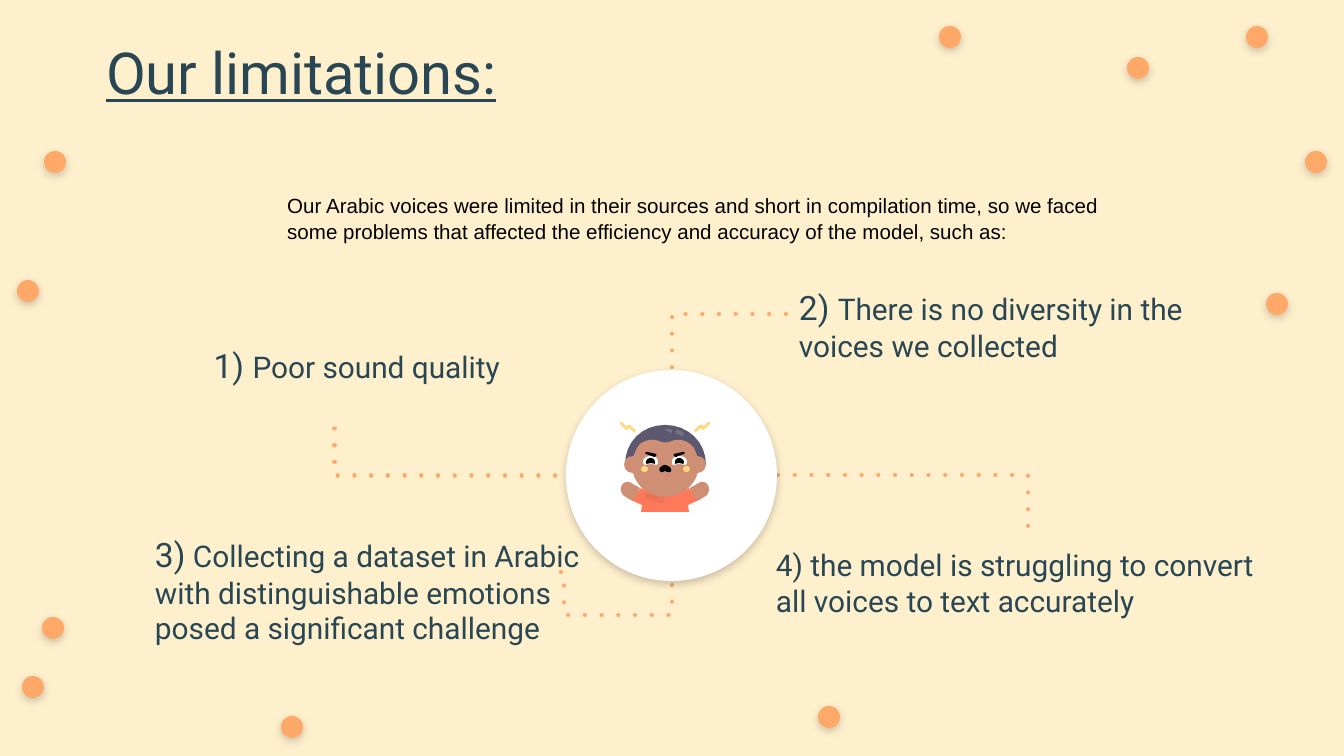
"""Build a slide on project limits, with four notes around a cartoon face."""
from lxml import etree
from pptx import Presentation
from pptx.dml.color import RGBColor
from pptx.enum.shapes import MSO_CONNECTOR, MSO_SHAPE
from pptx.enum.text import MSO_ANCHOR, MSO_AUTO_SIZE, PP_ALIGN
from pptx.oxml.ns import qn
from pptx.util import Emu, Pt

ELBOW = MSO_CONNECTOR.ELBOW
OVAL = MSO_SHAPE.OVAL
TOP = MSO_ANCHOR.TOP
FIT, FIXED = MSO_AUTO_SIZE.SHAPE_TO_FIT_TEXT, MSO_AUTO_SIZE.NONE
LEFT, RIGHT = PP_ALIGN.LEFT, PP_ALIGN.RIGHT

SCALE = 9144000 / 1344
CREAM, PEACH, NAVY = "FFF0CD", "FFA969", "284653"
WHITE, BLACK = "FFFFFF", "000000"
SKIN, HAIR, SHIRT, GOLD = "CE8F75", "5C586F", "FD795A", "FFD880"

DOTS = [(55, 162), (28, 291), (950, 37), (1138, 68), (1257, 37), (1316, 162),
        (1277, 304), (829, 717), (292, 727), (53, 628), (33, 687)]

NOTES = [
    ((786, 274, 452, 78), LEFT, "2) ",
     "There is no diversity in the voices we collected"),
    ((763, 534, 530, 78), LEFT, "",
     "4) the model is struggling to convert all voices to text accurately"),
    ((59, 332, 454, 78), RIGHT, "1) ", "Poor sound quality"),
    ((142, 521, 461, 78), LEFT, "3)",
     " Collecting a dataset in Arabic with distinguishable emotions posed a "
     "significant challenge"),
]

INTRO = ("Our Arabic voices were limited in their sources and short in "
         "compilation time, so we faced some problems that affected the "
         "efficiency and accuracy of the model, such as:")

HAND = [(640, 488), (638, 496), (633, 501), (628, 499, 625, 496, 624, 496),
        (621, 493, 620, 489, 622, 485), (625, 481, 629, 481, 633, 484)]
TORSO = [(649, 492), (641, 488), (633, 501), (642, 505), (641, 512),
         (689, 512), (688, 505), (697, 501), (689, 488), (681, 492)]
SHADE = [(656, 485), (646, 491), (644, 493, 644, 497, 646, 499),
         (650, 500, 656, 503, 661, 503), (664, 503, 665, 501, 665, 496),
         (659, 485)]
DOME = [(625, 465), (625, 442, 642, 425, 665, 425),
        (688, 425, 706, 442, 706, 465)]
SHINES = [[(677, 430), (675, 431, 675, 434, 678, 434), (682, 436),
           (684, 435, 684, 433, 683, 432)],
          [(667, 429), (665, 429, 665, 431, 667, 431), (671, 433),
           (673, 432, 672, 429, 670, 429)]]
HEAD = [(694, 448), (689, 441, 680, 438, 672, 441),
        (668, 443, 663, 443, 659, 441), (650, 438, 641, 441, 637, 448),
        (635, 453, 632, 458, 632, 465), (632, 482, 646, 497, 665, 497),
        (684, 497, 699, 482, 699, 465), (699, 458, 696, 453, 694, 448)]
EYE = [(651, 456), (647, 456, 643, 458, 643, 462),
       (643, 464, 644, 465, 645, 465), (649, 464, 653, 464, 656, 465),
       (658, 465, 658, 463, 658, 462), (658, 458, 655, 456, 651, 456)]
PUPIL = [(651, 458), (648, 458, 646, 460, 646, 463), (647, 464),
         (649, 463, 653, 463, 655, 464), (655, 462),
         (655, 460, 653, 458, 651, 458)]
MOUTH = [(665, 465), (663, 465, 662, 466, 661, 467),
         (659, 468, 659, 470, 660, 471), (661, 473, 663, 472, 665, 471),
         (667, 472, 670, 473, 671, 471), (672, 469, 670, 466, 665, 465)]
BROW = [(647, 452), (645, 452, 645, 454, 646, 454), (654, 457),
        (656, 457, 657, 455, 656, 454)]
BOLT = [(636, 431), (636, 430), (630, 425), (628, 425), (626, 426),
        (622, 422), (620, 422), (620, 424), (625, 429), (627, 430),
        (629, 428), (634, 432)]


def px(*nums):
    return [Emu(round(n * SCALE)) for n in nums]


def color(text):
    return RGBColor.from_string(text)


def write(para, text, size=16, face="Roboto", ink=NAVY, under=False):
    run = para.add_run()
    run.text = text
    run.font.size = Pt(size)
    run.font.name = face
    run.font.color.rgb = color(ink)
    run.font.underline = under


def flip(steps):
    return [tuple(n if i % 2 else 1330 - n for i, n in enumerate(step))
            for step in steps]


def trace(steps, parts=8):
    spots = [steps[0]]
    for step in steps[1:]:
        if len(step) == 2:
            spots.append(step)
            continue
        a, b, c, d = spots[-1], step[:2], step[2:4], step[4:]
        for t in (n / parts for n in range(1, parts + 1)):
            u = 1 - t
            spots.append(tuple(
                u**3 * a[i] + 3 * u * u * t * b[i] + 3 * u * t * t * c[i]
                + t**3 * d[i] for i in (0, 1)))
    return [px(*spot) for spot in spots]


class Board:
    def __init__(self, slide):
        self.slide = slide
        self.shapes = slide.shapes
        fill = slide.background.fill
        fill.solid()
        fill.fore_color.rgb = color(CREAM)

    def paint(self, shape, tint, alpha=100):
        shape.shadow.inherit = False
        shape.fill.solid()
        shape.fill.fore_color.rgb = color(tint)
        shape.line.fill.background()
        if alpha < 100:
            rgb = shape._element.spPr.find(
                qn("a:solidFill")).find(qn("a:srgbClr"))
            etree.SubElement(rgb, qn("a:alpha"), val=str(alpha * 1000))

    def disc(self, x, y, wide, high, tint, glow=False):
        shape = self.shapes.add_shape(OVAL, *px(x, y, wide, high))
        self.paint(shape, tint)
        if glow:
            effect = shape._element.spPr.find(qn("a:effectLst"))
            cast = etree.SubElement(
                effect, qn("a:outerShdw"), blurRad="57150", dist="19050",
                dir="5400000", algn="bl", rotWithShape="0")
            rgb = etree.SubElement(cast, qn("a:srgbClr"), val=BLACK)
            etree.SubElement(rgb, qn("a:alpha"), val="20000")

    def patch(self, steps, tint, alpha=100):
        first, *rest = trace(steps)
        pen = self.shapes.build_freeform(*first, scale=1)
        pen.add_line_segments(rest, close=True)
        self.paint(pen.convert_to_shape(), tint, alpha)

    def pair(self, steps, tint):
        self.patch(steps, tint)
        self.patch(flip(steps), tint)

    def bend(self, ends, turn=0, kind="bentConnector2", bends=()):
        line = self.shapes.add_connector(ELBOW, *px(*ends))
        line.line.color.rgb = color(PEACH)
        line.line.width = Pt(2.25)
        props = line._element.spPr
        stroke = props.find(qn("a:ln"))
        stroke.set("cap", "rnd")
        etree.SubElement(stroke, qn("a:prstDash"), val="dot")
        etree.SubElement(props, qn("a:effectLst"))
        props.find(qn("a:xfrm")).set("rot", str(turn * 60000))
        form = props.find(qn("a:prstGeom"))
        form.set("prst", kind)
        for i, bend in enumerate(bends, 1):
            etree.SubElement(form.find(qn("a:avLst")), qn("a:gd"),
                             name=f"adj{i}", fmla=f"val {bend}")

    def title(self, text, box):
        shape = self.shapes.title
        shape.left, shape.top, shape.width, shape.height = px(*box)
        write(self.frame(shape), text, size=31, under=True)

    def frame(self, shape, inset=13, fit=FIXED, align=LEFT):
        body = shape.text_frame
        body.word_wrap = True
        body.auto_size = fit
        body.vertical_anchor = TOP
        body.margin_left = body.margin_right = px(13)[0]
        body.margin_top = body.margin_bottom = px(inset)[0]
        body.paragraphs[0].alignment = align
        return body.paragraphs[0]

    def note(self, box, align, mark, text):
        para = self.frame(self.shapes.add_textbox(*px(*box)), align=align)
        if mark:
            write(para, mark, size=18)
        write(para, text)

    def intro(self, text, box):
        para = self.frame(self.shapes.add_textbox(*px(*box)), 7, FIT)
        para._p.get_or_add_pPr().set("marL", "457200")
        para.line_spacing = 1.05
        para.space_after = Pt(8)
        write(para, text, size=11, face="Arial", ink=BLACK)

    def face(self):
        self.pair(HAND, SKIN)
        self.patch(TORSO, SHIRT)
        self.patch(SHADE, BLACK, 5)
        self.patch(DOME, HAIR)
        for shine in SHINES:
            self.patch(shine, WHITE, 16)
        for x in (624, 689):
            self.disc(x, 456, 17, 17, SKIN)
        self.patch(HEAD, SKIN)
        for x in (641, 683):
            self.disc(x, 466, 7, 6, GOLD)
        self.patch(MOUTH, BLACK)
        for steps, tint in ((EYE, WHITE), (PUPIL, BLACK), (BROW, BLACK),
                            (BOLT, GOLD)):
            self.pair(steps, tint)


def main():
    deck = Presentation()
    deck.slide_width, deck.slide_height = px(1344, 756)
    board = Board(deck.slides.add_slide(deck.slide_layouts[5]))
    for x, y in DOTS:
        board.disc(x - 11, y - 11, 22, 22, PEACH, glow=True)
    board.title("Our limitations:", (93, 24, 1133, 93))
    for note in NOTES:
        board.note(*note)
    board.bend((786, 314, 672, 370))
    board.bend((474, 336, 427, 568), turn=270)
    board.bend((561, 572, 672, 580), kind="bentConnector4",
               bends=(2900, 538000))
    board.bend((778, 475, 1028, 533))
    board.disc(566, 370, 211, 211, WHITE, glow=True)
    board.face()
    board.intro(INTRO, (207, 185, 938, 65))
    deck.save("out.pptx")


if __name__ == "__main__":
    main()
